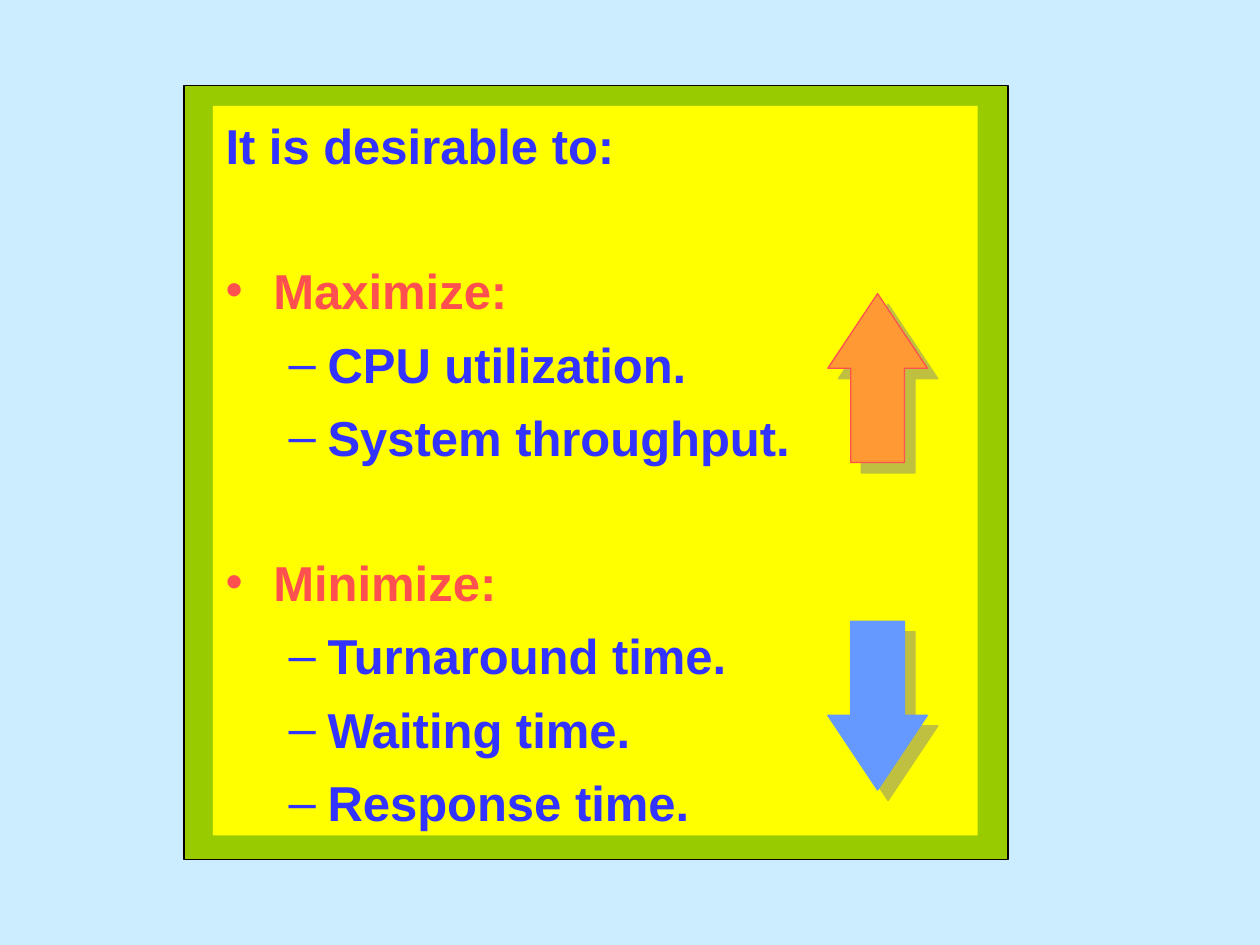
"""Build the slide on what scheduling should maximize and minimize."""
from dataclasses import dataclass

from lxml import etree
from pptx import Presentation
from pptx import util as u
from pptx.dml.color import RGBColor
from pptx.enum import shapes, text
from pptx.oxml import ns


@dataclass(frozen=True)
class Theme:
    """Colours, font and type sizes of the slide."""
    back: str = "CCECFF"
    frame: str = "99CC00"
    edge: str = "000000"
    panel: str = "FFFF00"
    ink: str = "3333FF"
    accent: str = "FF5050"
    rise: str = "FF9933"
    fall: str = "6699FF"
    shade: str = "808080"
    font: str = "Arial"
    size: float = 28
    gap: float = 8.4
    group_gap: float = 49


THEME = Theme()
WIDTH, HEIGHT = u.Inches(10), u.Inches(7.5)
FRAME = (14.6, 9.07, 65.4, 81.87)
PANEL = (16.9, 11.2, 60.7, 77.2)
ARROW_LEFT, ARROW_WIDTH, ARROW_HEIGHT = 65.7, 7.9, 17.87
RISE_TOP, FALL_TOP = 31.07, 65.73

STYLES = {
    "intro": dict(level=0, margin=0.38, indent=-0.38, bullet=None,
                  color=THEME.ink, before=0),
    "goal": dict(level=0, margin=0.38, indent=-0.38, bullet="•",
                 color=THEME.accent, before=THEME.group_gap),
    "measure": dict(level=1, margin=0.81, indent=-0.31, bullet="–",
                    color=THEME.ink, before=THEME.gap),
}
LINES = [
    ("intro", "It is desirable to:"),
    ("goal", "Maximize:"),
    ("measure", "CPU utilization."),
    ("measure", "System throughput."),
    ("goal", "Minimize:"),
    ("measure", "Turnaround time."),
    ("measure", "Waiting time."),
    ("measure", "Response time."),
]


def set_all(target, values):
    """Set each named attribute of the target."""
    for name, value in values.items():
        setattr(target, name, value)


def box(left, top, width, height):
    """Turn percentages of the slide into a position and size."""
    return dict(left=int(WIDTH * left / 100), top=int(HEIGHT * top / 100),
                width=int(WIDTH * width / 100), height=int(HEIGHT * height / 100))


def paint(fill, color):
    """Give a fill one solid colour."""
    fill.solid()
    fill.fore_color.rgb = RGBColor.from_string(color)


def add_xml(parent, tag, **attrs):
    """Append a DrawingML element and return it."""
    return etree.SubElement(parent, ns.qn(tag), attrs)


def add_preset(s, kind, place, fill, line):
    """Add a filled and outlined preset shape."""
    sp = s.shapes.add_shape(kind, **box(*place))
    sp.shadow.inherit = False
    paint(sp.fill, fill)
    paint(sp.line.fill, line)
    sp.line.width = u.Pt(0.75)
    return sp


def add_arrow(s, top, fill, line, rotation=0):
    """Add a block arrow with a translucent shadow at its lower right."""
    place = (ARROW_LEFT, top, ARROW_WIDTH, ARROW_HEIGHT)
    sp = add_preset(s, shapes.MSO_SHAPE.UP_ARROW, place, fill, line)
    sp.rotation = rotation
    sp.adjustments[0], sp.adjustments[1] = 0.54, 0.75
    effects = sp._element.spPr.find(ns.qn("a:effectLst"))
    shadow = add_xml(effects, "a:outerShdw", dist=str(u.Pt(8.5)),
                     dir="2700000", algn="ctr", rotWithShape="0")
    color = add_xml(shadow, "a:srgbClr", val=THEME.shade)
    add_xml(color, "a:alpha", val="50000")


def format_paragraph(p, style):
    """Set the level, spacing, indents and bullet of a paragraph."""
    set_all(p, dict(level=style["level"], space_before=u.Pt(style["before"]),
                    alignment=text.PP_ALIGN.LEFT))
    pPr = p._p.get_or_add_pPr()
    pPr.set("marL", str(u.Inches(style["margin"])))
    pPr.set("indent", str(u.Inches(style["indent"])))
    if style["bullet"]:
        add_xml(add_xml(pPr, "a:buClr"), "a:srgbClr", val=style["color"])
        add_xml(pPr, "a:buFont", typeface=THEME.font)
        add_xml(pPr, "a:buChar", char=style["bullet"])
    else:
        add_xml(pPr, "a:buNone")


def fill_body(sp):
    """Place the body placeholder and write its list."""
    set_all(sp, box(*PANEL))
    paint(sp.fill, THEME.panel)
    tf = sp.text_frame
    set_all(tf, dict(word_wrap=True, auto_size=text.MSO_AUTO_SIZE.NONE,
                     vertical_anchor=text.MSO_ANCHOR.TOP,
                     margin_left=u.Inches(0.1), margin_right=u.Inches(0.1),
                     margin_top=u.Inches(0.08), margin_bottom=u.Inches(0.05)))
    for i, (kind, words) in enumerate(LINES):
        p = tf.add_paragraph() if i else tf.paragraphs[0]
        format_paragraph(p, STYLES[kind])
        r = p.add_run()
        r.text = words
        set_all(r.font, dict(name=THEME.font, size=u.Pt(THEME.size), bold=True))
        r.font.color.rgb = RGBColor.from_string(STYLES[kind]["color"])


def main():
    """Build and save the slide."""
    prs = Presentation()
    set_all(prs, dict(slide_width=WIDTH, slide_height=HEIGHT))
    s = prs.slides.add_slide(prs.slide_layouts[1])
    paint(s.background.fill, THEME.back)
    title, body = s.shapes.title, s.placeholders[1]
    title._element.getparent().remove(title._element)
    frame = add_preset(s, shapes.MSO_SHAPE.RECTANGLE, FRAME, THEME.frame, THEME.edge)
    body._element.addprevious(frame._element)
    fill_body(body)
    add_arrow(s, RISE_TOP, THEME.rise, THEME.accent)
    add_arrow(s, FALL_TOP, THEME.fall, THEME.fall, rotation=180)
    prs.save("out.pptx")


if __name__ == "__main__":
    main()
